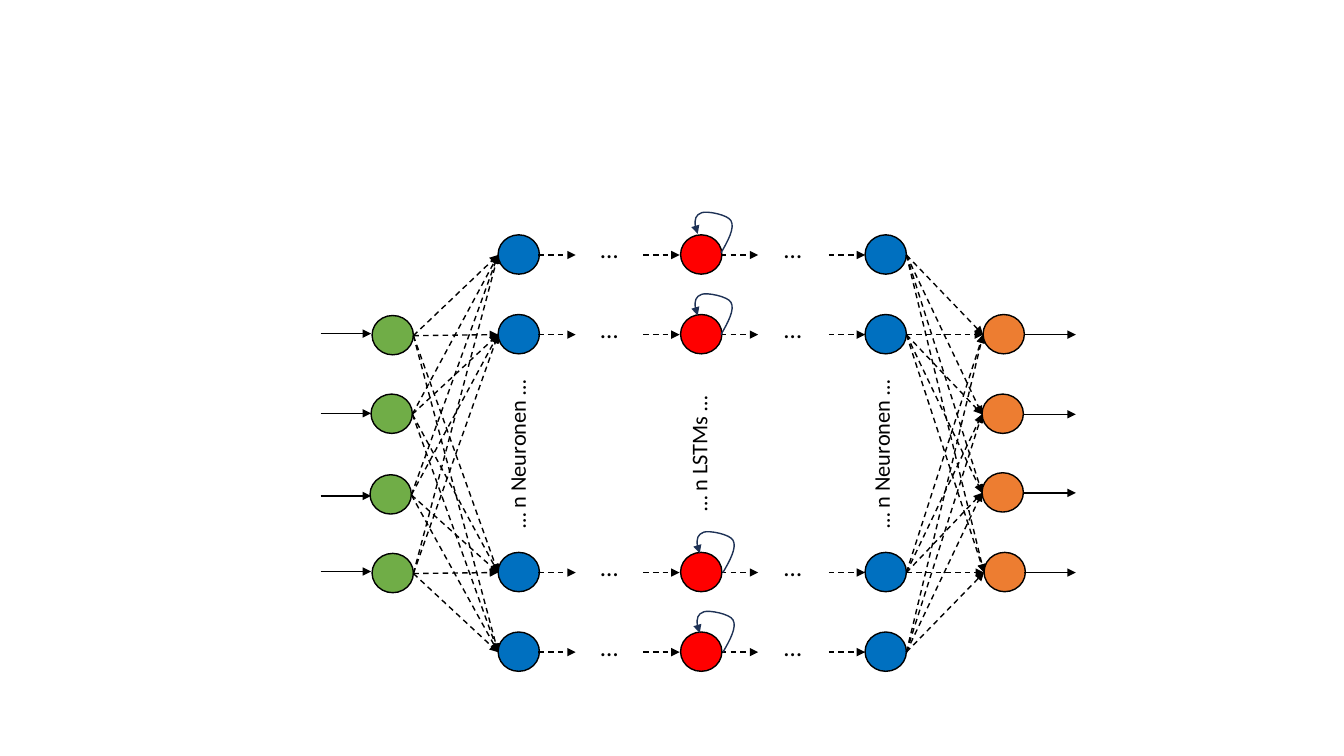
import itertools
from dataclasses import dataclass

import pptx
import pptx.dml.color
import pptx.enum.dml
import pptx.enum.shapes
import pptx.enum.text
import pptx.oxml
import pptx.oxml.ns
import pptx.util

PX = 9144  # EMU per px, 100 px to the inch


@dataclass(frozen=True)
class Theme:
    font: str = "Calibri"
    label_size: int = 16
    dots_size: int = 18
    line_width: int = 1
    ink: str = "000000"
    loop: str = "1E3256"
    input: str = "70AD47"
    hidden: str = "0070C0"
    lstm: str = "FF0000"
    output: str = "ED7D31"


THEME = Theme()
NEURON_W, NEURON_H = 41, 39
ROWS = (253, 332, 568, 647)
HIDDEN_X, LSTM_X, LAST_X = 494, 675, 858
INPUTS = ((369, 333), (368, 411), (367, 491), (369, 569))
OUTPUTS = ((975, 332), (974, 411), (974, 489), (976, 568))
INPUT_ARROW_ROWS = (331, 410, 492, 567)
LOOP_SHIFTS = ((0, -2), (0, 0), (2, 0), (2, 0))
# Cubic control points, from the right side of an LSTM back to its top
LOOP = ((40, 0), (47, -12), (54, -25), (50, -32), (47, -38), (26, -42),
        (21, -40), (15, -38), (12, -30), (17, -19))


def px(*values):
    return [pptx.util.Emu(v * PX) for v in values]


def rgb(color):
    return pptx.dml.color.RGBColor.from_string(color)


def style_line(sp, color, dashed=False, arrow=False):
    sp.line.color.rgb = rgb(color)
    sp.line.width = pptx.util.Pt(THEME.line_width)
    if dashed:
        sp.line.dash_style = pptx.enum.dml.MSO_LINE.DASH
    if arrow:
        ln = sp._element.spPr.find(pptx.oxml.ns.qn("a:ln"))
        tail = pptx.oxml.parse_xml(
            f'<a:tailEnd {pptx.oxml.ns.nsdecls("a")} type="triangle"/>')
        ln.append(tail)


def add_neuron(slide, left, cy, color):
    sp = slide.shapes.add_shape(pptx.enum.shapes.MSO_SHAPE.OVAL,
                                *px(left, cy - 20, NEURON_W, NEURON_H))
    sp.shadow.inherit = False
    sp.fill.solid()
    sp.fill.fore_color.rgb = rgb(color)
    style_line(sp, THEME.ink)


def add_arrow(slide, start, end, dashed=True):
    sp = slide.shapes.add_connector(pptx.enum.shapes.MSO_CONNECTOR.STRAIGHT,
                                    *px(*start, *end))
    style_line(sp, THEME.ink, dashed, arrow=True)
    effects = pptx.oxml.parse_xml(
        f'<a:effectLst {pptx.oxml.ns.nsdecls("a")}/>')
    sp._element.spPr.append(effects)


def connect_layers(slide, sources, targets):
    """Join the right side of every source to the left side of every target."""
    for (x, y), target in itertools.product(sources, targets):
        add_arrow(slide, (x + NEURON_W, y), target)


def add_loop(slide, left, cy):
    """Draw a recurrent arrow by turning each three segments into one curve."""
    points = [(left + x, cy + y) for x, y in LOOP]
    builder = slide.shapes.build_freeform(*points[0], scale=PX)
    builder.add_line_segments(points[1:], close=False)
    sp = builder.convert_to_shape()
    sp.shadow.inherit = False
    sp.fill.background()
    style_line(sp, THEME.loop, arrow=True)
    qn = pptx.oxml.ns.qn
    segments = list(sp._element.iter(qn("a:lnTo")))
    for i in range(0, len(segments), 3):
        curve = pptx.oxml.parse_xml(
            f'<a:cubicBezTo {pptx.oxml.ns.nsdecls("a")}/>')
        segments[i].addprevious(curve)
        for segment in segments[i:i + 3]:
            curve.append(segment.find(qn("a:pt")))
            segment.getparent().remove(segment)


def add_text(slide, text, box, size, rotation=0, wrap=True):
    sp = slide.shapes.add_textbox(*px(*box))
    sp.rotation = rotation
    tf = sp.text_frame
    tf.word_wrap = wrap
    tf.auto_size = pptx.enum.text.MSO_AUTO_SIZE.SHAPE_TO_FIT_TEXT
    r = tf.paragraphs[0].add_run()
    r.text = text
    r.font.name = THEME.font
    r.font.size = pptx.util.Pt(size)
    r.font.color.rgb = rgb(THEME.ink)


def add_column_label(slide, text, cx, width):
    add_text(slide, text, (cx - width // 2, 431, width, 37),
             THEME.label_size, rotation=270, wrap=False)


def add_hidden_row(slide, cy, loop_shift):
    """Draw one row from the first hidden layer through the LSTM to the last."""
    add_neuron(slide, HIDDEN_X, cy, THEME.hidden)
    add_neuron(slide, LSTM_X, cy, THEME.lstm)
    add_neuron(slide, LAST_X, cy, THEME.hidden)
    for start, end in ((534, 571), (638, 674), (715, 752), (822, 858)):
        add_arrow(slide, (start, cy), (end, cy))
    for left in (586, 768):
        add_text(slide, "…", (left, cy - 26, 37, 40), THEME.dots_size)
    dx, dy = loop_shift
    add_loop(slide, LSTM_X + dx, cy + dy)


def main():
    prs = pptx.Presentation()
    prs.slide_width, prs.slide_height = px(1333, 750)
    slide = prs.slides.add_slide(prs.slide_layouts[6])

    for (left, cy), arrow_y in zip(INPUTS, INPUT_ARROW_ROWS):
        add_neuron(slide, left, cy, THEME.input)
        add_arrow(slide, (318, arrow_y), (368, arrow_y), dashed=False)
    for cy, loop_shift in zip(ROWS, LOOP_SHIFTS):
        add_hidden_row(slide, cy, loop_shift)
    for left, cy in OUTPUTS:
        add_neuron(slide, left, cy, THEME.output)
        add_arrow(slide, (1016, cy), (1067, cy), dashed=False)

    connect_layers(slide, INPUTS, [(HIDDEN_X, cy) for cy in ROWS])
    connect_layers(slide, [(LAST_X, cy) for cy in ROWS], OUTPUTS)

    add_column_label(slide, "… n Neuronen …", 513, 170)
    add_column_label(slide, "… n LSTMs …", 693, 136)
    add_column_label(slide, "… n Neuronen …", 874, 170)
    prs.save("out.pptx")


if __name__ == "__main__":
    main()
